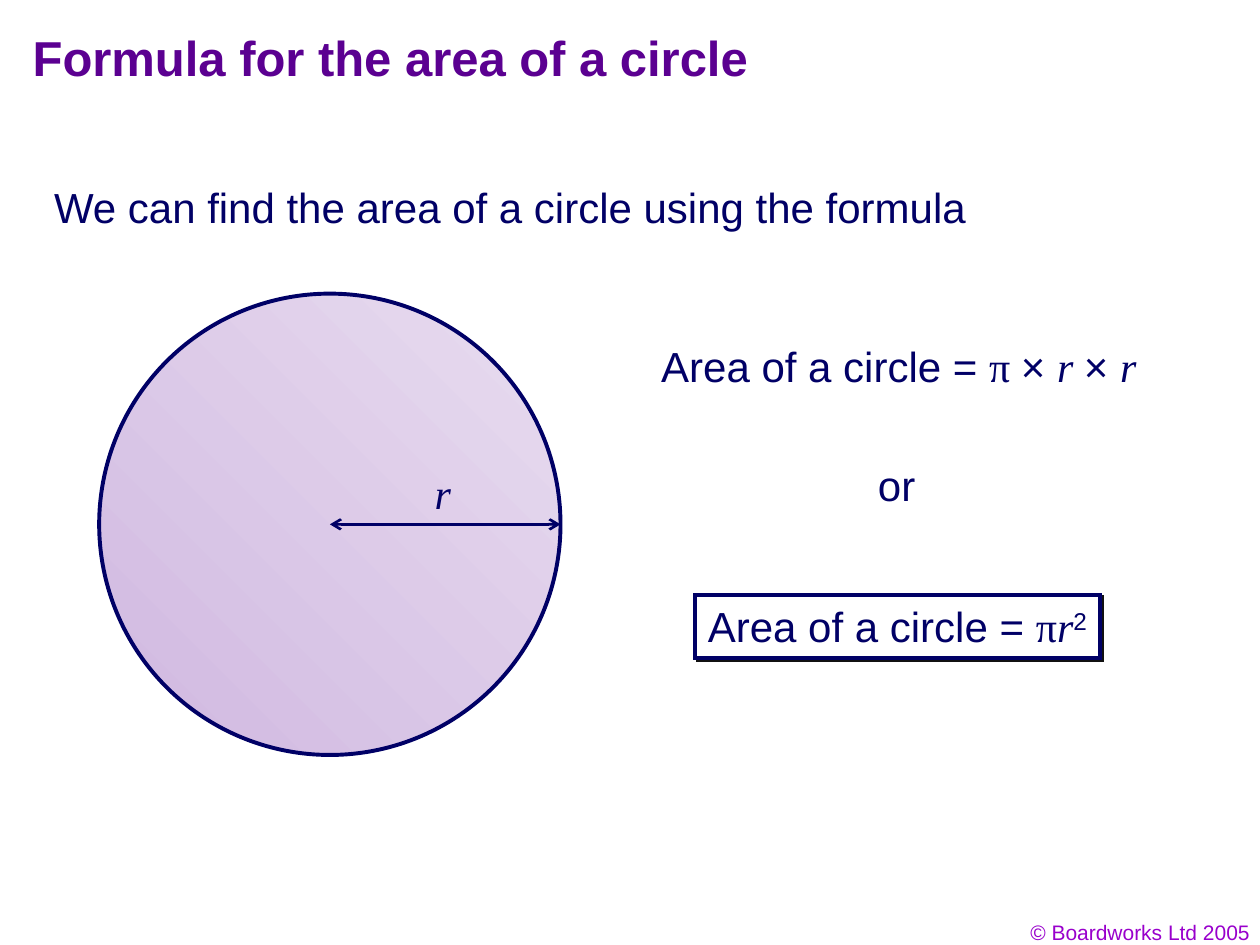
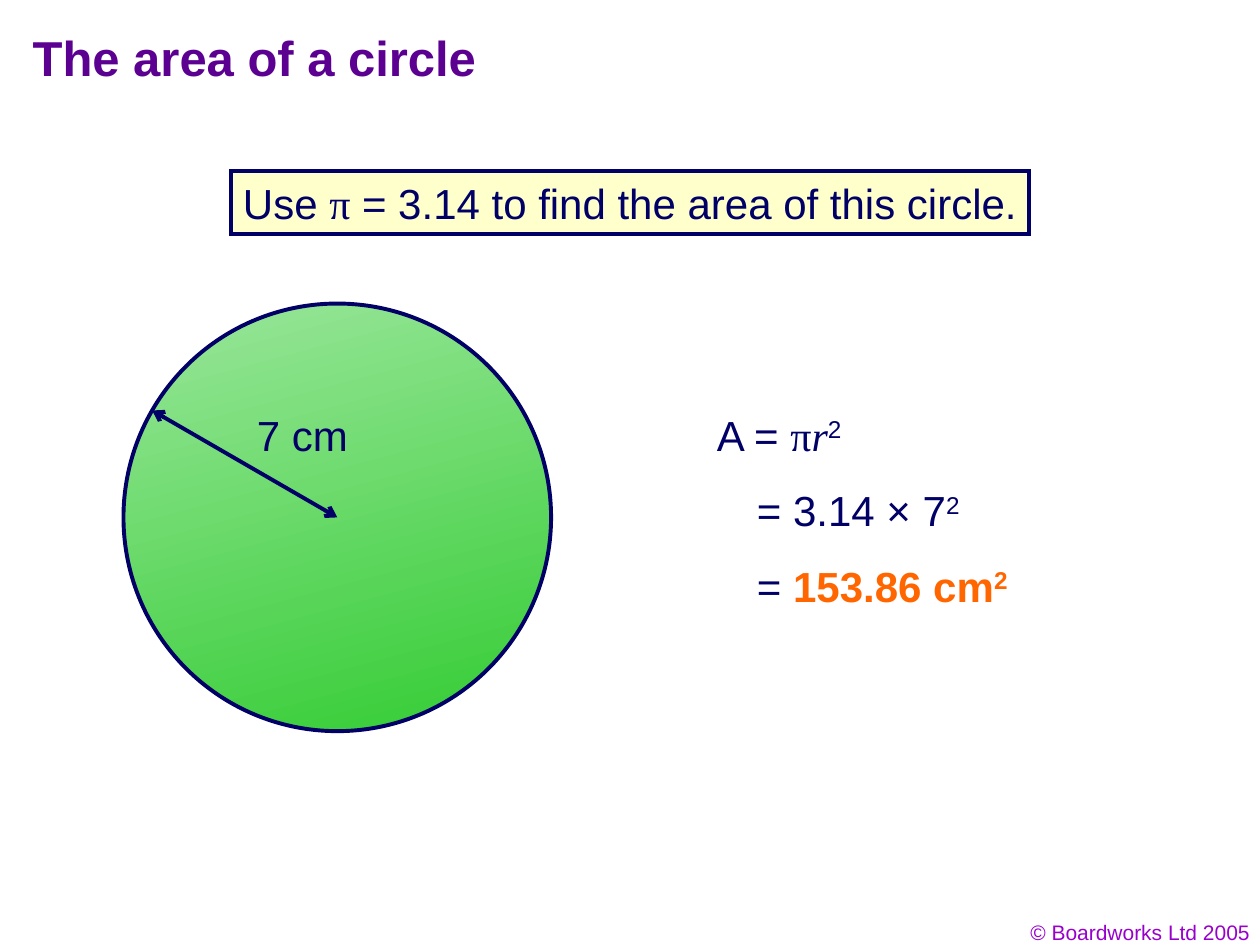
from math import cos, radians, sin

from lxml.etree import SubElement
from pptx import Presentation
from pptx.dml.color import RGBColor
from pptx.enum.shapes import MSO_CONNECTOR as CONNECTOR, MSO_SHAPE as SHAPE
from pptx.enum.text import MSO_ANCHOR as ANCHOR, MSO_AUTO_SIZE as AUTO_SIZE, PP_ALIGN as ALIGN
from pptx.oxml.ns import qn
from pptx.util import Cm, Pt

INK = RGBColor(0x01, 0x00, 0x66)
OUTLINE = RGBColor(0x00, 0x00, 0x66)
TITLE = RGBColor(0x5B, 0x00, 0x91)
FOOTER = RGBColor(0x99, 0x00, 0xCC)
ANSWER = RGBColor(0xFF, 0x66, 0x00)
WHITE = RGBColor(0xFF, 0xFF, 0xFF)
CREAM = RGBColor(0xFF, 0xFF, 0xCC)
LILAC = (RGBColor(0xE8, 0xDC, 0xF0), RGBColor(0xD0, 0xB8, 0xE0))
GREEN = (RGBColor(0x9A, 0xE6, 0x9A), RGBColor(0x33, 0xCC, 0x33))

SANS = "Arial"
SERIF = "Times New Roman"
INSET = 0.25

PLAIN = {"name": SANS}
SYMBOL = {"name": SERIF}
VARIABLE = {"name": SERIF, "italic": True}
POWER = {"name": SANS, "raised": True}
RESULT = {"name": SANS, "bold": True, "color": ANSWER}
RESULT_POWER = {**RESULT, "raised": True}

PI_R_SQUARED = [("π", SYMBOL), ("r", VARIABLE), ("2", POWER)]


def add_run(p, text, name, italic=None, bold=None, color=None, raised=False):
    r = p.add_run()
    r.text = text
    r.font.name = name
    r.font.italic = italic
    r.font.bold = bold
    if color is not None:
        r.font.color.rgb = color
    if raised:
        r.font._element.set("baseline", "30000")


def write(sp, content, size=24, color=INK, align=ALIGN.LEFT, left=INSET, right=0):
    tf = sp.text_frame
    tf.word_wrap = True
    tf.auto_size = AUTO_SIZE.NONE
    tf.vertical_anchor = ANCHOR.TOP
    tf.margin_left = Cm(left)
    tf.margin_right = Cm(right)
    p = tf.paragraphs[0]
    p.alignment = align
    p.font.size = Pt(size)
    p.font.color.rgb = color
    if isinstance(content, str):
        p.font.name = SANS
        p.add_run().text = content
    else:
        for text, style in content:
            add_run(p, text, **style)
    return p


def add_text(slide, x, y, w, content, h=1.27, **style):
    sp = slide.shapes.add_textbox(Cm(x), Cm(y), Cm(w), Cm(h))
    return sp, write(sp, content, **style)


def outline(line, width):
    line.color.rgb = OUTLINE
    line.width = Pt(width)


def add_framed_text(slide, x, y, w, content, fill, **style):
    sp = slide.shapes.add_shape(SHAPE.RECTANGLE, Cm(x), Cm(y), Cm(w), Cm(1.27))
    sp.shadow.inherit = False
    sp.fill.solid()
    sp.fill.fore_color.rgb = fill
    outline(sp.line, 2.25)
    SubElement(sp._element.spPr.find(qn("a:ln")), qn("a:miter"), lim="800000")
    write(sp, content, **style)
    return sp


def cast_shadow(sp):
    effects = sp._element.spPr.find(qn("a:effectLst"))
    shadow = SubElement(effects, qn("a:outerShdw"), dist=str(Pt(2)), dir="2700000", algn="ctr")
    SubElement(shadow, qn("a:srgbClr"), val="111111")


def add_circle(slide, cx, cy, radius, colors, angle):
    sp = slide.shapes.add_shape(
        SHAPE.OVAL, Cm(cx - radius), Cm(cy - radius), Cm(2 * radius), Cm(2 * radius))
    sp.shadow.inherit = False
    sp.fill.gradient()
    sp.fill.gradient_angle = angle
    for stop, color in zip(sp.fill.gradient_stops, colors):
        stop.color.rgb = color
    outline(sp.line, 2.25)


def add_radius(slide, cx, cy, radius, angle, width):
    edge_x = cx + radius * cos(radians(angle))
    edge_y = cy + radius * sin(radians(angle))
    line = slide.shapes.add_connector(CONNECTOR.STRAIGHT, Cm(cx), Cm(cy), Cm(edge_x), Cm(edge_y))
    outline(line.line, width)
    sp_pr = line._element.spPr
    for end in ("a:headEnd", "a:tailEnd"):
        SubElement(sp_pr.find(qn("a:ln")), qn(end), type="arrow")
    SubElement(sp_pr, qn("a:effectLst"))


def add_slide(prs, title):
    slide = prs.slides.add_slide(prs.slide_layouts[6])
    add_text(slide, 19.53, 18.42, 5.92, "© Boardworks Ltd 2005", h=0.76,
             size=12, color=FOOTER, align=ALIGN.RIGHT, right=INSET)
    sp, p = add_text(slide, 0.41, 0.41, 21.69, title, h=1.75, size=28, color=TITLE)
    p.font.bold = True
    tf = sp.text_frame
    tf.vertical_anchor = ANCHOR.MIDDLE
    tf.margin_bottom = Cm(0.41)
    return slide


def add_formula_slide(prs):
    slide = add_slide(prs, "Formula for the area of a circle")
    add_text(slide, 0.84, 3.53, 24.05, "We can find the area of a circle using the formula")
    circle = (6.65, 10.57, 4.65)
    add_circle(slide, *circle, LILAC, 225)
    add_radius(slide, *circle, 0, 1.5)
    add_text(slide, 8.51, 9.3, 0.84, [("r", VARIABLE)])

    area = ("Area of a circle = ", PLAIN)
    boxed = add_framed_text(slide, 14.02, 11.99, 8.15, [area, *PI_R_SQUARED], WHITE)
    cast_shadow(boxed)
    add_text(slide, 13.08, 6.73, 10.01, [
        area, ("π ", SYMBOL), ("× ", PLAIN), ("r ", VARIABLE), ("× ", PLAIN), ("r", VARIABLE)])
    add_text(slide, 17.45, 9.14, 1.24, "or")


def add_example_slide(prs):
    slide = add_slide(prs, "The area of a circle")
    add_framed_text(slide, 4.65, 3.45, 16.1, [
        ("Use ", PLAIN), ("π", SYMBOL), (" = 3.14 to find the area of this circle.", PLAIN)],
        CREAM, align=ALIGN.CENTER, left=0)
    circle = (6.8, 10.43, 4.31)
    add_circle(slide, *circle, GREEN, 285)
    add_radius(slide, *circle, 210, 2.25)
    add_text(slide, 4.93, 8.13, 2.34, "7 cm")

    working = [
        (14.2, 3.07, [("A = ", PLAIN), *PI_R_SQUARED]),
        (15.01, 4.6, [("= 3.14 × 7", PLAIN), ("2", POWER)]),
        (15.01, 5.56, [("= ", PLAIN), ("153.86 cm", RESULT), ("2", RESULT_POWER)]),
    ]
    for i, (x, w, content) in enumerate(working):
        add_text(slide, x, 8.13 + 1.52 * i, w, content)


def main():
    prs = Presentation()
    prs.slide_width = Cm(25.4)
    prs.slide_height = Cm(19.05)
    add_formula_slide(prs)
    add_example_slide(prs)
    prs.save("out.pptx")


if __name__ == "__main__":
    main()
